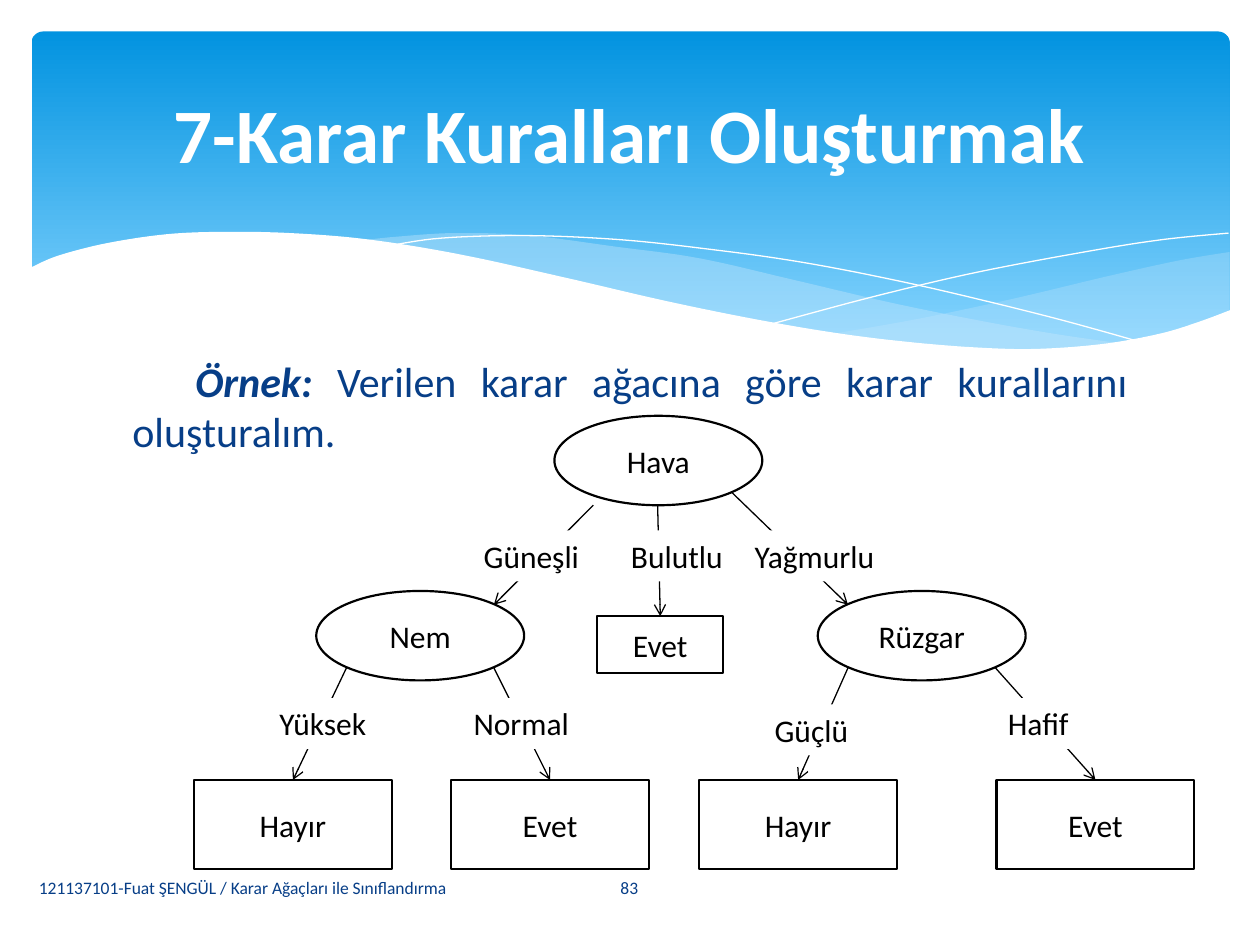
from lxml import etree
from pptx import Presentation
from pptx.dml.color import RGBColor
from pptx.enum.shapes import MSO_CONNECTOR, MSO_SHAPE
from pptx.enum.text import MSO_ANCHOR, MSO_AUTO_SIZE, PP_ALIGN
from pptx.oxml.ns import qn
from pptx.util import Pt

ELLIPSE, RECT, ROUND = MSO_SHAPE.OVAL, MSO_SHAPE.RECTANGLE, MSO_SHAPE.ROUNDED_RECTANGLE
STRAIGHT = MSO_CONNECTOR.STRAIGHT
LEFT, CENTER, JUSTIFY = PP_ALIGN.LEFT, PP_ALIGN.CENTER, PP_ALIGN.JUSTIFY
TOP, MIDDLE = MSO_ANCHOR.TOP, MSO_ANCHOR.MIDDLE
FIT = MSO_AUTO_SIZE.SHAPE_TO_FIT_TEXT
COLORS = {name: RGBColor.from_string(value) for name, value in {
    "white": "FFFFFF", "black": "000000", "navy": "073E87",
    "sky_top": "0293E0", "sky_bottom": "83D3FE", "wave": "C6E7FC"}.items()}


def smooth(knots, steps=8):
    """Points of a Catmull-Rom curve through the knots."""
    pts = [knots[0]] + knots + [knots[-1]]
    curve = [knots[0]]
    for a, b, c, d in zip(pts, pts[1:], pts[2:], pts[3:]):
        for i in range(1, steps + 1):
            t = i / steps
            curve.append(tuple(
                b[k] + (c[k] - a[k]) * t / 2
                + (2 * a[k] - 5 * b[k] + 4 * c[k] - d[k]) * t ** 2 / 2
                + (3 * b[k] - a[k] - 3 * c[k] + d[k]) * t ** 3 / 2 for k in (0, 1)))
    return curve


def write(sp, text, size, color, align=CENTER, anchor=MIDDLE):
    tf = sp.text_frame
    tf.word_wrap = True
    tf.vertical_anchor = anchor
    tf.text = text
    p = tf.paragraphs[0]
    p.alignment = align
    font = p.runs[0].font
    font.name, font.size, font.color.rgb = "Calibri", Pt(size), COLORS[color]


prs = Presentation()
prs.slide_width, prs.slide_height = Pt(720), Pt(540)
s = prs.slides.add_slide(prs.slide_layouts[1])

# Sky panel
sp = s.shapes.add_shape(ROUND, Pt(18), Pt(18), Pt(684.7), Pt(194.4))
sp.adjustments[0] = 0.034
sp.shadow.inherit = False
sp.line.fill.background()
sp.fill.gradient()
sp.fill.gradient_angle = 270
for stop, color, position in zip(sp.fill.gradient_stops, ("sky_top", "sky_bottom"), (0, 0.9)):
    stop.color.rgb = COLORS[color]
    stop.position = position

# Waves: edges of each outline, fill colour, opacity in percent
right_wave = [
    [(702.7, 144), (673, 149), (630.7, 158.4), (579.6, 170.6), (524.9, 182.2), (475.9, 190.8)],
    [(475.9, 190.8), (517.7, 195.8), (562.3, 199.4), (601.2, 199.4), (640, 195.8),
     (673.2, 188.6), (702.7, 177.8)]]
middle_wave = [
    [(643, 196.6), (602.6, 190.8), (558, 182.9), (508.3, 172.8), (452.9, 159.8), (399.6, 147.6),
     (352, 141), (302.4, 134.6), (259.9, 133.2), (225.4, 135.4), (205.9, 137.5)],
    [(205.9, 137.5), (246.2, 143.3), (290.9, 151.9), (323.3, 159.8), (381.6, 172.8),
     (432.7, 183.6), (489.6, 193), (538.6, 198.7), (589, 200.2), (643, 196.6)]]
long_line = [
    [(222.5, 140.4), (252, 136.1), (299.5, 134.6), (352, 136.8), (400.3, 141.8),
     (457.9, 149.8), (523.4, 162.7), (598.3, 180.7), (653, 195.8)]]
short_line = [
    [(441.4, 185), (500.4, 169.2), (558.7, 155.5), (623.5, 143.3), (665.3, 136.8), (702, 133.2)]]
white_wave = [
    [(16.6, 153.4), (33, 146.2), (61, 139), (95, 133.9), (127.4, 132.5), (165.6, 133.2),
     (210, 136.8), (262.8, 145.4), (321.8, 158.4), (380.9, 172.1), (434, 182.9), (481, 190.8),
     (522.7, 195.8), (560, 198.7), (592.6, 199.4), (630, 196.6), (662.4, 190.8), (684, 184.3),
     (703.4, 177.1)],
    [(703.4, 236.9), (16.6, 236.9)]]
for edges, color, opacity in [
        (right_wave, "wave", 29), (middle_wave, "wave", 40), (long_line, None, 100),
        (short_line, None, 100), (white_wave, "white", 100)]:
    outline = [(Pt(x), Pt(y)) for edge in edges for x, y in smooth(edge)]
    builder = s.shapes.build_freeform(*outline[0])
    builder.add_line_segments(outline[1:], close=color is not None)
    sp = builder.convert_to_shape()
    sp.shadow.inherit = False
    if color is None:
        sp.fill.background()
        sp.line.color.rgb = COLORS["white"]
        sp.line.width = Pt(0)
        continue
    sp.line.fill.background()
    sp.fill.solid()
    sp.fill.fore_color.rgb = COLORS[color]
    if opacity < 100:
        rgb = sp._element.spPr.find(".//" + qn("a:srgbClr"))
        etree.SubElement(rgb, qn("a:alpha"), val=str(opacity * 1000))

# Title and body, brought in front of the waves
title, body = s.shapes.title, s.placeholders[1]
for sp, box in [(body, (68.4, 199.4, 583.2, 285.8)), (title, (36, 26.6, 648, 98.6))]:
    s.shapes._spTree.append(sp._element)
    sp.left, sp.top, sp.width, sp.height = map(Pt, box)
write(title, "7-Karar Kuralları Oluşturmak", 44, "white")
title.text_frame.paragraphs[0].runs[0].font.bold = True

write(body, "\tÖrnek: ", 24, "navy", JUSTIFY, TOP)
p = body.text_frame.paragraphs[0]
p.space_before = Pt(0)
pPr = p._p.get_or_add_pPr()
pPr.set("marL", "0")
pPr.set("indent", "0")
etree.SubElement(pPr, qn("a:buNone"))
p.runs[0].font.bold = p.runs[0].font.italic = True
r = p.add_run()
r.text = "Verilen karar ağacına göre karar kurallarını oluşturalım."
r.font.name, r.font.size, r.font.color.rgb = "Calibri", Pt(24), COLORS["navy"]

# Footer
for text, x, w, align in [
        ("121137101-Fuat ŞENGÜL / Karar Ağaçları ile Sınıflandırma", 15.1, 298, LEFT),
        ("83", 313.9, 91.4, CENTER)]:
    sp = s.shapes.add_textbox(Pt(x), Pt(492.5), Pt(w), Pt(28.8))
    write(sp, text, 10, "navy", align)

# Tree nodes
nodes = []
for kind, text, x, y, w, h in [
        (ELLIPSE, "Hava", 316.8, 237.6, 118.8, 51.1),
        (ELLIPSE, "Nem", 180.7, 337.7, 118.8, 51.1),
        (ELLIPSE, "Rüzgar", 467.3, 337.7, 118.8, 51.1),
        (RECT, "Evet", 341.3, 352.1, 72, 32.4),
        (RECT, "Hayır", 110.9, 445.7, 113, 51.1),
        (RECT, "Evet", 257.8, 445.7, 113, 51.1),
        (RECT, "Hayır", 399.6, 445.7, 113, 51.1),
        (RECT, "Evet", 569.5, 445.7, 113, 51.1)]:
    sp = s.shapes.add_shape(kind, Pt(x), Pt(y), Pt(w), Pt(h))
    sp.shadow.inherit = False
    sp.fill.background()
    sp.line.color.rgb = COLORS["black"]
    sp.line.width = Pt(1.25)
    write(sp, text, 18, "black")
    nodes.append(sp)
cloudy, *leaves = nodes[3:]

# Branches: start, end, leaf reached
for x1, y1, x2, y2, leaf in [
        (339.1, 288.7, 282.2, 345.6, None), (418.3, 281.5, 484.6, 345.6, None),
        (375.8, 288.7, 377.3, 352.1, cloudy),
        (198, 381.6, 167.4, 445.7, leaves[0]), (282.2, 381.6, 314.3, 445.7, leaves[1]),
        (484.6, 381.6, 456.1, 445.7, leaves[2]), (568.8, 381.6, 626, 445.7, leaves[3])]:
    branch = s.shapes.add_connector(STRAIGHT, Pt(x1), Pt(y1), Pt(x2), Pt(y2))
    if leaf is not None:
        branch.end_connect(leaf, 0)
    branch.line.color.rgb = COLORS["black"]
    branch.line.width = Pt(0.75)
    etree.SubElement(branch.line._get_or_add_ln(), qn("a:tailEnd"), type="arrow")
    etree.SubElement(branch._element.spPr, qn("a:effectLst"))

# Branch labels, covering the lines behind them
for text, x, y, w in [
        ("Güneşli", 269.3, 303.1, 70.6), ("Bulutlu", 353.5, 303.1, 69.1),
        ("Yağmurlu", 424.1, 303.1, 87.8), ("Yüksek", 152.6, 398.9, 68.4),
        ("Normal", 263.5, 398.9, 71.3), ("Güçlü", 435.6, 402.5, 57.6),
        ("Hafif", 568.8, 398.9, 51.8)]:
    sp = s.shapes.add_textbox(Pt(x), Pt(y), Pt(w), Pt(29.1))
    sp.fill.solid()
    sp.fill.fore_color.rgb = COLORS["white"]
    write(sp, text, 18, "black", LEFT, TOP)
    sp.text_frame.word_wrap = False
    sp.text_frame.auto_size = FIT

prs.save("out.pptx")
